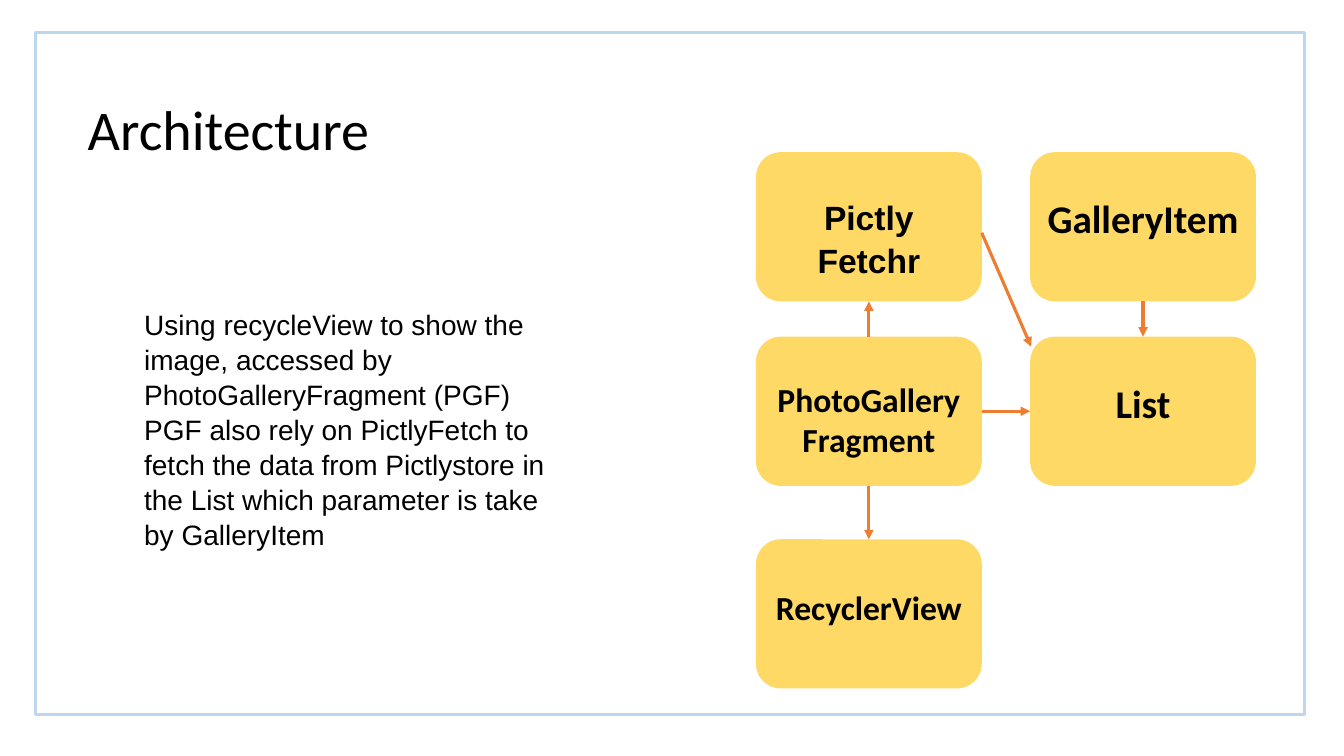
from dataclasses import dataclass

from lxml.etree import SubElement
from pptx import Presentation
from pptx.dml.color import RGBColor
from pptx.enum.shapes import MSO_CONNECTOR, MSO_SHAPE
from pptx.enum.text import MSO_ANCHOR, MSO_AUTO_SIZE, PP_ALIGN
from pptx.oxml.ns import qn
from pptx.shapes.autoshape import Shape
from pptx.shapes.connector import Connector
from pptx.slide import Slide
from pptx.text.text import TextFrame
from pptx.util import Pt

BLACK = RGBColor(0x00, 0x00, 0x00)
YELLOW = RGBColor(0xFF, 0xD9, 0x66)
ORANGE = RGBColor(0xED, 0x7D, 0x31)
LIGHT_BLUE = RGBColor(0xBD, 0xD7, 0xEE)

COLUMNS = (540, 735.84)
ROWS = (108.72, 240.48, 385.2)
BOX_WIDTH = 161.28
BOX_HEIGHT = 106.56
TOP, LEFT, BOTTOM, RIGHT = range(4)


@dataclass(frozen=True)
class Component:
    text: str
    column: int
    row: int
    size: float
    font: str = "Calibri"
    top_inset: float = 25
    line_spacing: float = 1.0


@dataclass(frozen=True)
class Link:
    source: str
    source_side: int
    target: str
    target_side: int


COMPONENTS = {
    "recycler": Component("RecyclerView", 0, 2, 24, top_inset=28.5),
    "fragment": Component("PhotoGallery\nFragment", 0, 1, 24),
    "fetcher": Component("Pictly\nFetchr", 0, 0, 24, "Arial", line_spacing=1.06),
    "item": Component("GalleryItem", 1, 0, 28),
    "list": Component("List", 1, 1, 28),
}
LINKS = (
    Link("fragment", BOTTOM, "recycler", TOP),
    Link("fragment", TOP, "fetcher", BOTTOM),
    Link("fragment", RIGHT, "list", LEFT),
    Link("item", BOTTOM, "list", TOP),
)
DESCRIPTION = (
    "Using recycleView to show the image, accessed by PhotoGalleryFragment (PGF)\n"
    "PGF also rely on PictlyFetch to fetch the data from Pictlystore in the List "
    "which parameter is take by GalleryItem"
)


def write_text(text_frame: TextFrame, text: str, font: str, size: float,
               alignment: PP_ALIGN, line_spacing: float = 1.0, bold: bool = False) -> None:
    text_frame.text = text
    text_frame.word_wrap = True
    text_frame.auto_size = MSO_AUTO_SIZE.NONE
    text_frame.vertical_anchor = MSO_ANCHOR.TOP
    for paragraph in text_frame.paragraphs:
        paragraph.alignment = alignment
        paragraph.line_spacing = line_spacing
        paragraph.space_before = Pt(0)
        for run in paragraph.runs:
            run.font.name = font
            run.font.size = Pt(size)
            run.font.bold = bold
            run.font.color.rgb = BLACK


def place(shape: Shape, left: float, top: float, width: float, height: float) -> None:
    shape.left, shape.top = Pt(left), Pt(top)
    shape.width, shape.height = Pt(width), Pt(height)


def remove_bullets(text_frame: TextFrame) -> None:
    for paragraph in text_frame.paragraphs:
        properties = paragraph._p.get_or_add_pPr()
        properties.set("marL", "0")
        properties.set("indent", "0")
        SubElement(properties, qn("a:buNone"))


def add_frame(slide: Slide) -> None:
    frame = slide.shapes.add_shape(
        MSO_SHAPE.RECTANGLE, Pt(25.2), Pt(23.04), Pt(906.48), Pt(487.44))
    frame.shadow.inherit = False
    frame.fill.background()
    frame.line.color.rgb = LIGHT_BLUE
    frame.line.width = Pt(2.25)


def add_component(slide: Slide, component: Component) -> Shape:
    box = slide.shapes.add_shape(
        MSO_SHAPE.ROUNDED_RECTANGLE, Pt(COLUMNS[component.column]),
        Pt(ROWS[component.row]), Pt(BOX_WIDTH), Pt(BOX_HEIGHT))
    box.shadow.inherit = False
    box.fill.solid()
    box.fill.fore_color.rgb = YELLOW
    box.line.fill.background()
    text_frame = box.text_frame
    text_frame.margin_left = text_frame.margin_right = Pt(0)
    text_frame.margin_top = Pt(component.top_inset)
    write_text(text_frame, component.text, component.font, component.size,
               PP_ALIGN.CENTER, component.line_spacing, bold=True)
    return box


def add_arrow(slide: Slide, start: tuple[float, float] = (0, 0),
              end: tuple[float, float] = (0, 0)) -> Connector:
    arrow = slide.shapes.add_connector(
        MSO_CONNECTOR.STRAIGHT, Pt(start[0]), Pt(start[1]), Pt(end[0]), Pt(end[1]))
    arrow.line.color.rgb = ORANGE
    arrow.line.width = Pt(2.25)
    SubElement(arrow.line._get_or_add_ln(), qn("a:tailEnd"), type="triangle")
    SubElement(arrow._element.spPr, qn("a:effectLst"))
    return arrow


def main() -> None:
    presentation = Presentation()
    presentation.slide_width = Pt(960)
    presentation.slide_height = Pt(540)
    slide = presentation.slides.add_slide(presentation.slide_layouts[1])

    title = slide.shapes.title
    place(title, 55.44, 64.08, 359.28, 55.44)
    write_text(title.text_frame, "Architecture", "Calibri", 40, PP_ALIGN.LEFT)

    body = slide.placeholders[1]
    place(body, 95.76, 215.28, 318.96, 177.12)
    write_text(body.text_frame, DESCRIPTION, "Arial", 20, PP_ALIGN.LEFT, 1.04)
    remove_bullets(body.text_frame)

    add_frame(slide)
    boxes = {name: add_component(slide, component)
             for name, component in COMPONENTS.items()}

    for link in LINKS:
        arrow = add_arrow(slide)
        arrow.begin_connect(boxes[link.source], link.source_side)
        arrow.end_connect(boxes[link.target], link.target_side)
    add_arrow(slide, (701.28, 166.32), (736.56, 247.68))

    presentation.save("out.pptx")


if __name__ == "__main__":
    main()
